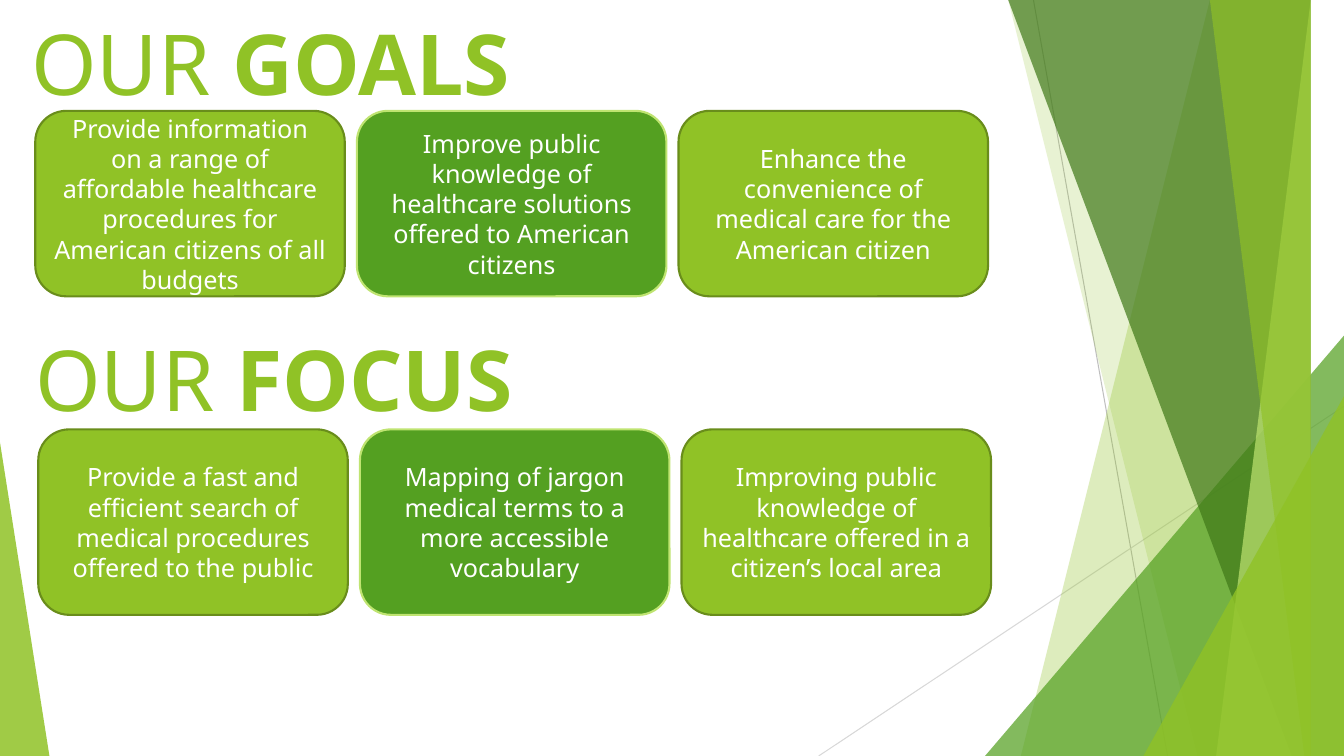
from pptx import Presentation
from pptx.dml.color import RGBColor
from pptx.enum.shapes import MSO_CONNECTOR, MSO_SHAPE
from pptx.enum.text import MSO_ANCHOR, MSO_AUTO_SIZE, PP_ALIGN
from pptx.oxml.ns import qn
from pptx.util import Inches, Pt
from lxml.etree import SubElement

W, H = 13.33, 7.5
FONT = "Noto Sans"
LIME = RGBColor(0x90, 0xC2, 0x26)
GREEN = RGBColor(0x54, 0xA0, 0x21)
FOREST = RGBColor(0x3F, 0x78, 0x18)
PALE = RGBColor(0xBF, 0xE4, 0x71)
OLIVE = RGBColor(0x69, 0x8D, 0x1B)
WHITE = RGBColor(0xFF, 0xFF, 0xFF)
GREY = RGBColor(0xBF, 0xBF, 0xBF)
LIGHT_GREY = RGBColor(0xD8, 0xD8, 0xD8)

CARD_W, CARD_H, CARD_PITCH = 3.07, 1.84, 3.19
CARD_COLOURS = [(LIME, OLIVE), (GREEN, PALE), (LIME, OLIVE)]
GOALS = [
    "Provide information on a range of affordable healthcare procedures "
    "for American citizens of all budgets",
    "Improve public knowledge of healthcare solutions offered to American citizens",
    "Enhance the convenience of medical care for the American citizen",
]
FOCUS = [
    "Provide a fast and efficient search of medical procedures offered to the public",
    "Mapping of jargon medical terms to a more accessible vocabulary",
    "Improving public knowledge of healthcare offered in a citizen\u2019s local area",
]


def fill_glass(sp, colour, opacity):
    sp.shadow.inherit = False
    sp.fill.solid()
    sp.fill.fore_color.rgb = colour
    sp.line.fill.background()
    clr = sp.fill._xPr.find(qn("a:solidFill"))[0]
    SubElement(clr, qn("a:alpha")).set("val", str(opacity * 1000))


def add_hairline(slide, start, end, colour):
    cx = slide.shapes.add_connector(
        MSO_CONNECTOR.STRAIGHT, *map(Inches, start + end))
    cx.line.color.rgb = colour
    cx.line.width = Pt(0.75)
    SubElement(cx._element.spPr, qn("a:effectLst"))


def add_facet(slide, top_x, bottom_x, colour, opacity):
    fb = slide.shapes.build_freeform(top_x, 0, scale=Inches(1))
    fb.add_line_segments([(W, 0), (W, H), (bottom_x, H)])
    fill_glass(fb.convert_to_shape(), colour, opacity)


def add_corner(slide, left, width, height, peak, colour, opacity):
    sp = slide.shapes.add_shape(
        MSO_SHAPE.ISOSCELES_TRIANGLE,
        *map(Inches, (left, H - height, width, height)))
    sp.adjustments[0] = peak
    fill_glass(sp, colour, opacity)


def add_backdrop(slide):
    add_hairline(slide, (10.25, 0), (11.58, H), GREY)
    add_hairline(slide, (W, 4.03), (8.12, H), LIGHT_GREY)
    add_facet(slide, 12.28, 10.04, LIME, 30)
    add_facet(slide, 10.5, 11.83, LIME, 20)
    add_corner(slide, 9.77, 3.56, 4.17, 1, GREEN, 72)
    add_facet(slide, 10.21, 12.91, FOREST, 70)
    add_facet(slide, 13.03, 11.92, PALE, 70)
    add_facet(slide, 11.96, 13.18, LIME, 65)
    add_corner(slide, 11.34, 1.99, 3.57, 1, LIME, 80)
    add_corner(slide, 0, 0.49, 3.11, 0, LIME, 85)


def set_heading(sp, left, top, word):
    sp.left, sp.top, sp.width, sp.height = map(Inches, (left, top, 9.4, 1.12))
    tf = sp.text_frame
    tf.auto_size = MSO_AUTO_SIZE.NONE
    tf.word_wrap = True
    tf.vertical_anchor = MSO_ANCHOR.MIDDLE
    p = tf.paragraphs[0]
    p.alignment = PP_ALIGN.LEFT
    p.line_spacing = 1.0
    p.space_before = Pt(0)
    for text, bold in (("OUR ", False), (word, True)):
        r = p.add_run()
        r.text = text
        r.font.name = FONT
        r.font.size = Pt(60)
        r.font.bold = bold
        r.font.color.rgb = LIME


def add_card(slide, left, top, text, fill, line):
    sp = slide.shapes.add_shape(
        MSO_SHAPE.ROUNDED_RECTANGLE,
        *map(Inches, (left, top, CARD_W, CARD_H)))
    sp.shadow.inherit = False
    sp.fill.solid()
    sp.fill.fore_color.rgb = fill
    sp.line.color.rgb = line
    sp.line.width = Pt(1.5)
    tf = sp.text_frame
    tf.word_wrap = True
    tf.vertical_anchor = MSO_ANCHOR.MIDDLE
    p = tf.paragraphs[0]
    p.text = text
    p.alignment = PP_ALIGN.CENTER
    p.font.name = FONT
    p.font.size = Pt(18)
    p.font.color.rgb = WHITE


def add_card_row(slide, left, top, texts):
    for i, (text, colours) in enumerate(zip(texts, CARD_COLOURS)):
        add_card(slide, left + i * CARD_PITCH, top, text, *colours)


def main():
    prs = Presentation()
    prs.slide_width, prs.slide_height = Inches(W), Inches(H)
    slide = prs.slides.add_slide(prs.slide_layouts[0])
    add_backdrop(slide)
    set_heading(slide.shapes.title, 0.21, 0.05, "GOALS")
    add_card_row(slide, 0.35, 1.1, GOALS)
    set_heading(slide.placeholders[1], 0.25, 3.19, "FOCUS")
    add_card_row(slide, 0.38, 4.26, FOCUS)
    prs.save("out.pptx")


main()
